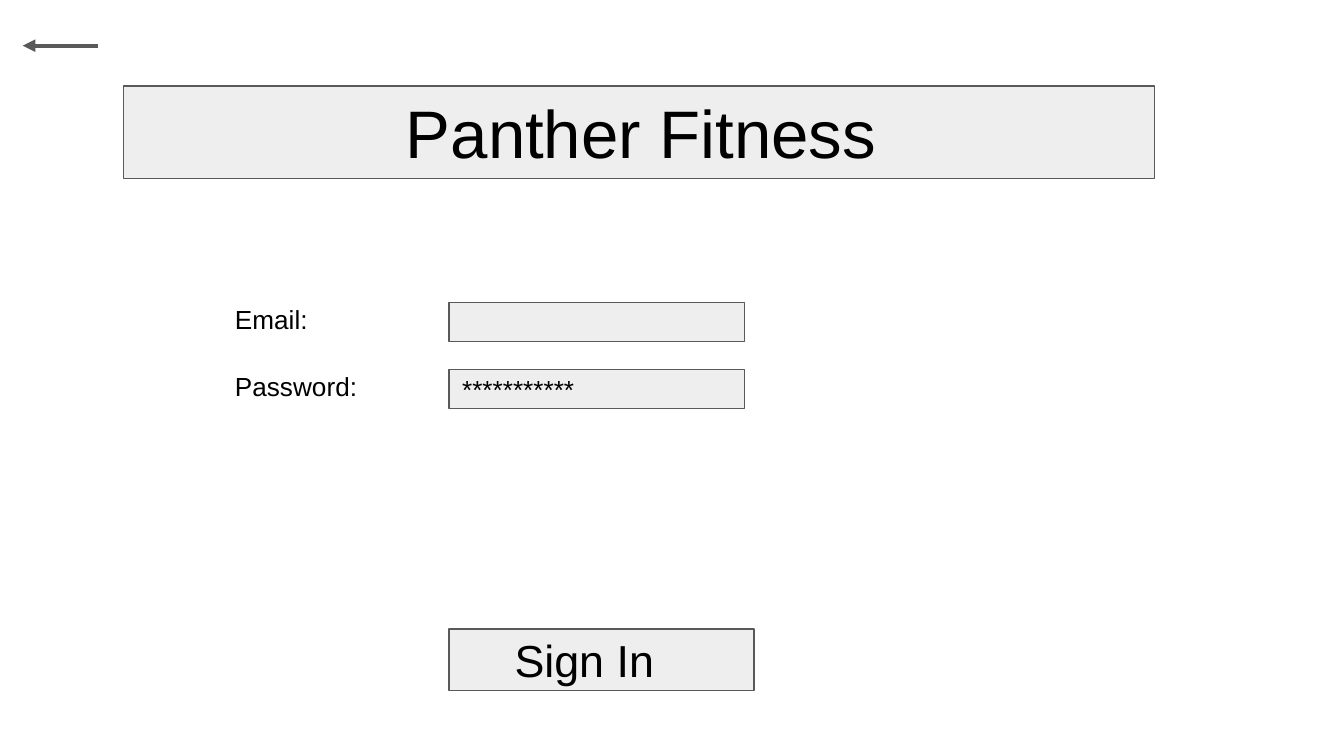
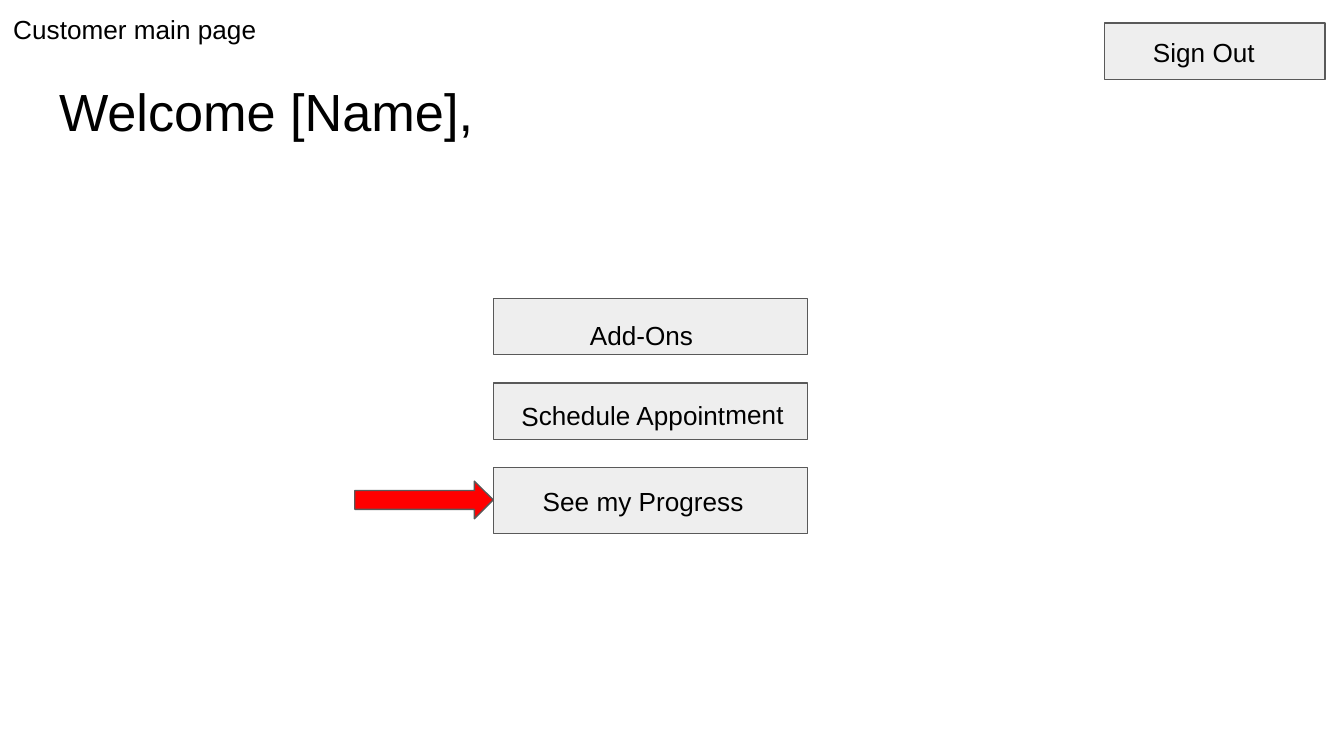
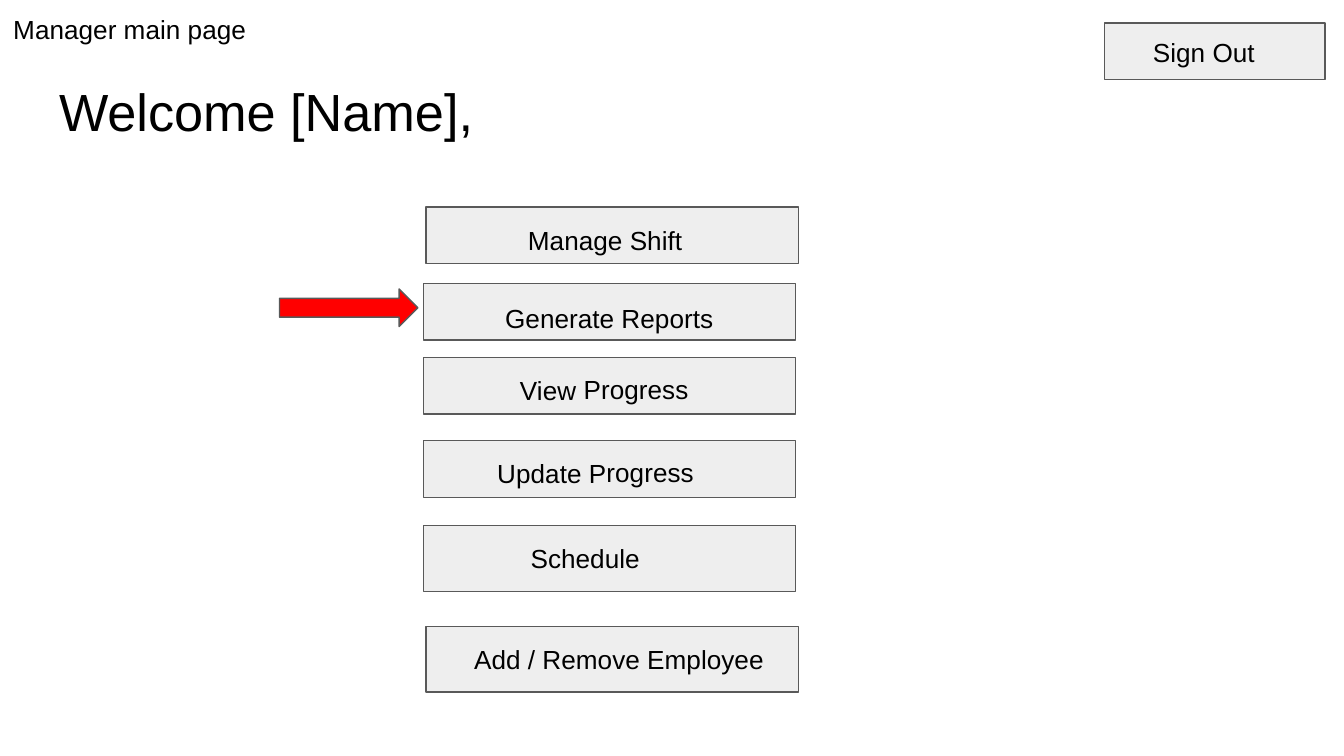
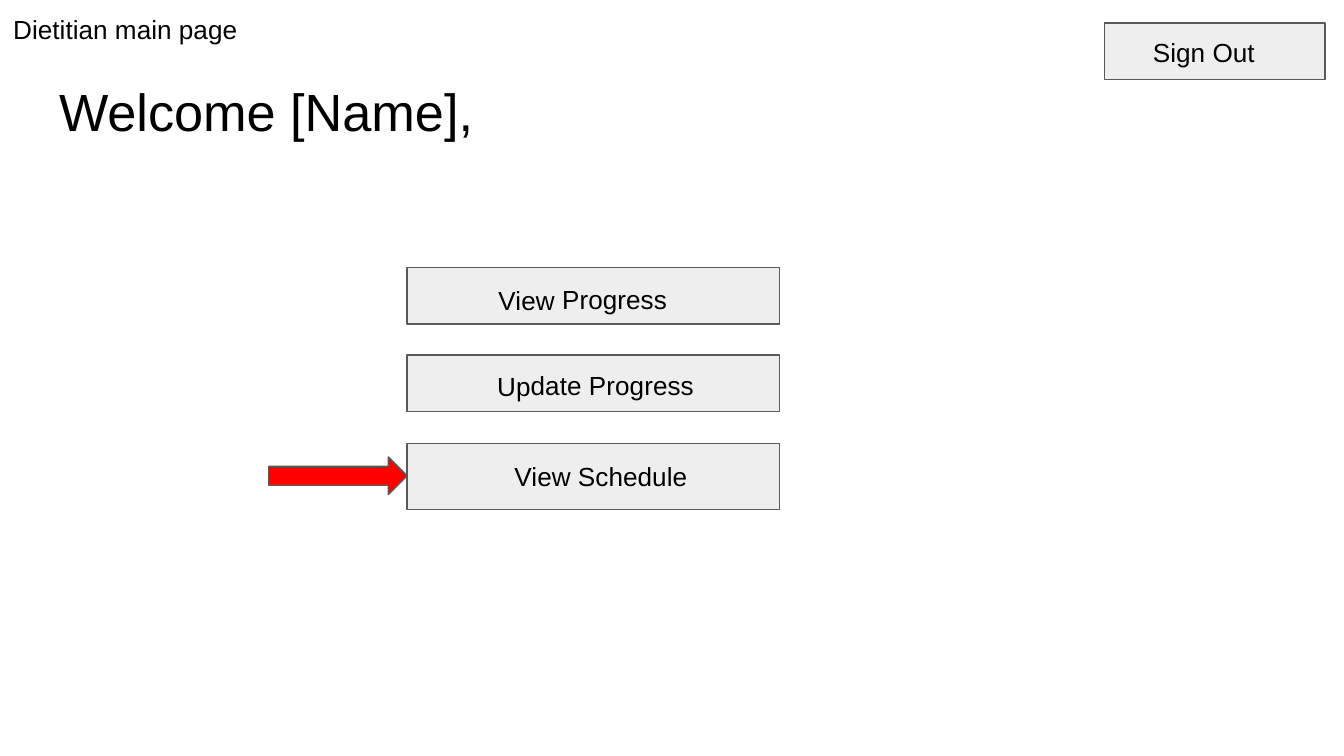
import pptx
import pptx.dml.color
import pptx.enum.shapes
import pptx.enum.text
import pptx.util
from pptx.enum.shapes import MSO_SHAPE
from pptx.enum.text import MSO_ANCHOR
from pptx.util import Inches
from lxml import etree

GREY, BORDER, RED, BLACK = "EEEEEE", "595959", "FF0000", "000000"
FONT = "Arial"
TILT = -0.3
A = "{http://schemas.openxmlformats.org/drawingml/2006/main}"
rgb = pptx.dml.color.RGBColor.from_string


def write(sp, text, size=14, indent=0, anchor=MSO_ANCHOR.TOP):
    tf = sp.text_frame
    frame = {"word_wrap": True, "vertical_anchor": anchor,
             "auto_size": pptx.enum.text.MSO_AUTO_SIZE.NONE}
    for side in ("left", "right", "top", "bottom"):
        frame["margin_" + side] = Inches(0.1)
    for name, value in frame.items():
        setattr(tf, name, value)
    p = tf.paragraphs[0]
    p.alignment = pptx.enum.text.PP_ALIGN.LEFT
    pPr = p._p.get_or_add_pPr()
    pPr.set("marL", str(Inches(indent)))
    pPr.set("indent", "0")
    r = p.add_run()
    r.text = text
    for name, value in {"name": FONT, "size": pptx.util.Pt(size)}.items():
        setattr(r.font, name, value)
    r.font.color.rgb = rgb(BLACK)


def box(s, at, fill=GREY, kind=MSO_SHAPE.RECTANGLE):
    sp = s.shapes.add_shape(kind, *map(Inches, at))
    sp.shadow.inherit = False
    sp.fill.solid()
    sp.fill.fore_color.rgb = rgb(fill)
    sp.line.color.rgb = rgb(BORDER)
    sp.line.width = pptx.util.Pt(0.75)
    return sp


# Widescreen 16:9
prs = pptx.Presentation()
prs.slide_width = Inches(10)
prs.slide_height = Inches(10) * 9 // 16
title_only = prs.slide_layouts[5]

# Sign-in page: banner with the title on top of it
s = prs.slides.add_slide(title_only)
box(s, (0.92, 0.64, 7.67, 0.69))
title = s.shapes.title
title.left, title.top, title.width, title.height = map(Inches, (0.92, 0.58, 7.33, 0.37))
write(title, "Panther Fitness", 36, 2)
s.shapes._spTree.append(title._element)

# Sign-in form
for row, (label, entry) in enumerate([("Email:", ""), ("Password:", "***********")]):
    top = 2.16 + 0.5 * row
    write(s.shapes.add_textbox(*map(Inches, (1.65, top, 2, 0.47))), label)
    field = box(s, (3.34, top + 0.09, 2.2, 0.29))
    if entry:
        write(field, entry, anchor=MSO_ANCHOR.MIDDLE)
box(s, (3.34, 4.68, 2.27, 0.46))
write(s.shapes.add_textbox(*map(Inches, (3.73, 4.61, 2.45, 0.47))), "Sign In", 24)

# Back arrow
cxn = s.shapes.add_connector(pptx.enum.shapes.MSO_CONNECTOR.STRAIGHT,
                             *map(Inches, (0.73, 0.34, 0.17, 0.34)))
cxn.line.color.rgb = rgb(BORDER)
cxn.line.width = pptx.util.Pt(2.25)
etree.SubElement(cxn.line._get_or_add_ln(), A + "tailEnd", type="triangle")
etree.SubElement(cxn._element.spPr, A + "effectLst")

# Main pages: name, button width, arrow corner, buttons.
# Button: left, top, height, label, indent, label box (None: inside), rotation
pages = [
    ("Customer main page", 2.34, (2.64, 3.58), [
        (3.67, 2.22, 0.42, "Add-Ons", 0.1, (4.19, 2.28, 1.25, 0.35), 0),
        (3.67, 2.85, 0.42, "Schedule Appointment", 0.06, (3.72, 2.87, 2.6, 0.23), TILT),
        (3.67, 3.48, 0.49, "See my Progress", 0.27, None, 0),
    ]),
    ("Manager main page", 2.77, (2.08, 2.15), [
        (3.17, 1.54, 0.42, "Manage Shift", 0.11, (3.72, 1.57, 2.48, 0.35), 0),
        (3.15, 2.11, 0.42, "Generate Reports", 0.32, (3.34, 2.15, 2.27, 0.35), 0),
        (3.15, 2.66, 0.42, "View Progress", 0.38, (3.39, 2.68, 2.6, 0.23), TILT),
        (3.15, 3.28, 0.42, "Update Progress", 0.49, (3.11, 3.3, 2.6, 0.23), TILT),
        (3.15, 3.91, 0.49, "Schedule", 0.7, None, 0),
        (3.17, 4.66, 0.49, "Add / Remove Employee", 0.26, None, 0),
    ]),
    ("Dietitian main page", 2.77, (2, 3.4), [
        (3.03, 1.99, 0.42, "View Progress", 0.38, (3.23, 2.01, 2.6, 0.23), TILT),
        (3.03, 2.64, 0.42, "Update Progress", 0.49, (3.11, 2.65, 2.6, 0.23), TILT),
        (3.03, 3.3, 0.49, "View Schedule", 0.7, None, 0),
    ]),
]
for page, width, arrow, buttons in pages:
    s = prs.slides.add_slide(title_only)

    # Header
    title = s.shapes.title
    title.left, title.top, title.width, title.height = map(Inches, (0.34, 0.49, 9.32, 0.63))
    write(title, "Welcome [Name],", 28)
    box(s, (8.22, 0.17, 1.64, 0.42))
    for text, at in [("Sign Out", (8.48, 0.17, 1.25, 0.35)), (page, (0, 0, 2.98, 0.23))]:
        write(s.shapes.add_textbox(*map(Inches, at)), text)

    # Menu buttons and the arrow at the chosen one
    for left, top, height, label, indent, label_at, rotation in buttons:
        sp = box(s, (left, top, width, height))
        if label_at:
            sp = s.shapes.add_textbox(*map(Inches, label_at))
            sp.rotation = rotation
            write(sp, label, indent=indent)
        else:
            write(sp, label, indent=indent, anchor=MSO_ANCHOR.MIDDLE)
    box(s, (*arrow, 1.03, 0.28), RED, MSO_SHAPE.RIGHT_ARROW)

prs.save("out.pptx")
